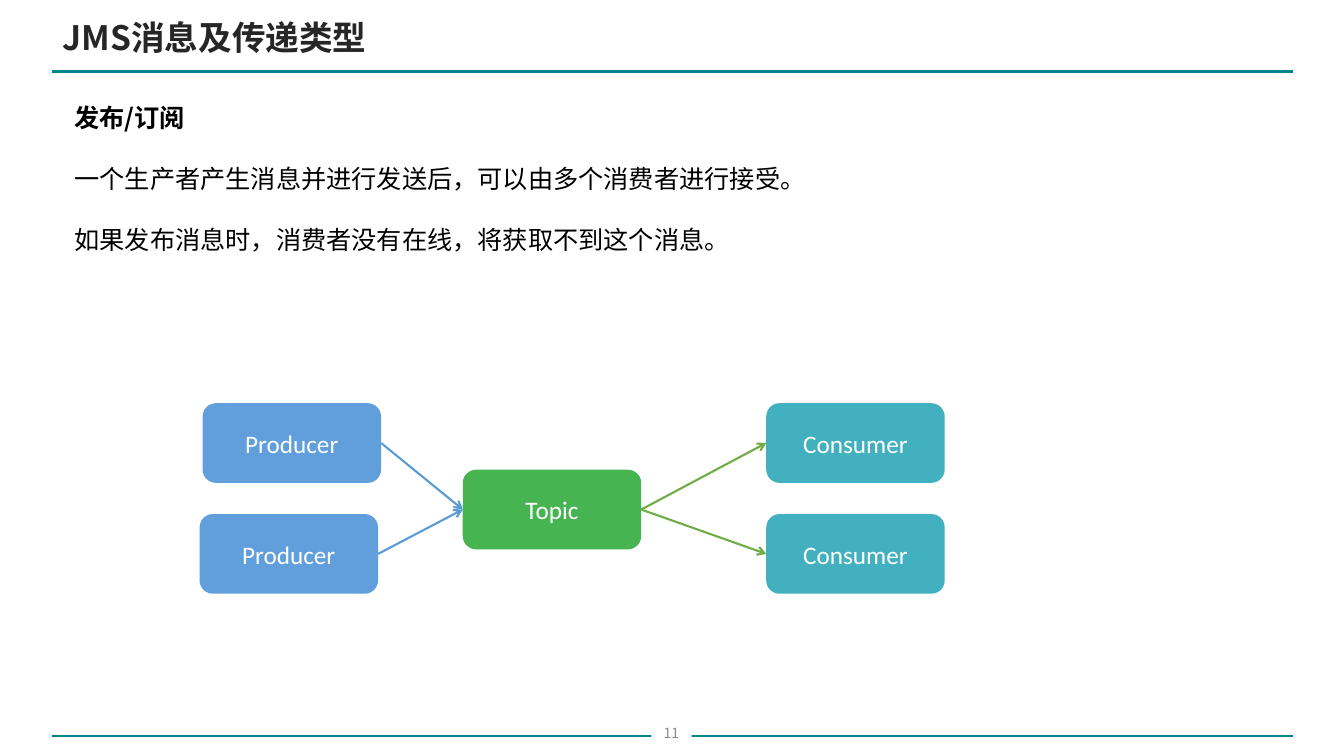
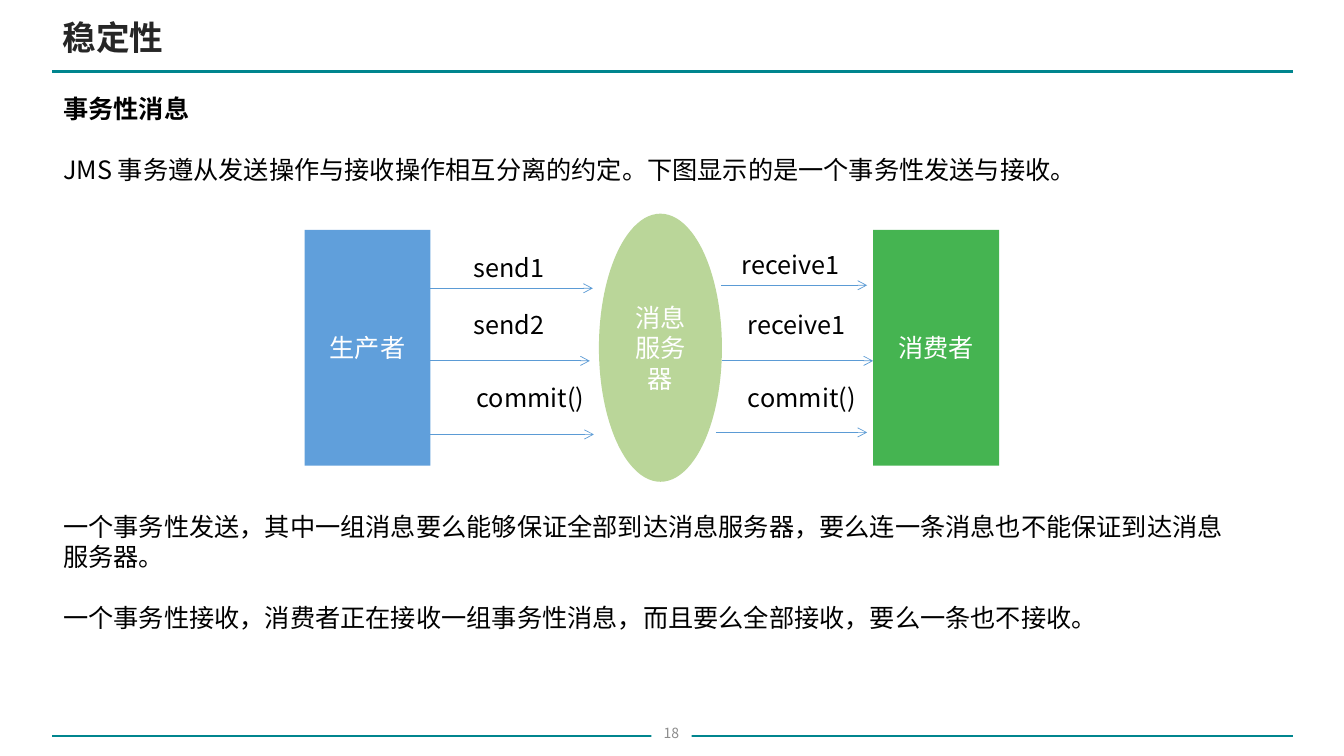
from dataclasses import dataclass

from lxml import etree
from pptx import Presentation
from pptx.dml.color import RGBColor
from pptx.enum.shapes import MSO_CONNECTOR, MSO_SHAPE, PP_PLACEHOLDER
from pptx.enum.text import MSO_ANCHOR, MSO_AUTO_SIZE, PP_ALIGN
from pptx.oxml.ns import qn
from pptx.util import Pt

EMU_PER_PX = 9144
TITLE_ONLY = 5
RECT, ROUNDED, OVAL = MSO_SHAPE.RECTANGLE, MSO_SHAPE.ROUNDED_RECTANGLE, MSO_SHAPE.OVAL
STRAIGHT = MSO_CONNECTOR.STRAIGHT
LEFT, CENTER = PP_ALIGN.LEFT, PP_ALIGN.CENTER
MIDDLE = MSO_ANCHOR.MIDDLE
SIDE_LEFT, SIDE_RIGHT = 1, 3


@dataclass(frozen=True)
class Theme:
    teal: str = "00858E"
    title: str = "262626"
    number: str = "8C8C8C"
    black: str = "000000"
    white: str = "FFFFFF"
    blue: str = "609FDB"
    green: str = "45B451"
    aqua: str = "43B0C0"
    pale_green: str = "BAD699"
    blue_line: str = "5B9BD5"
    green_line: str = "70AD47"
    text_font: str = "Noto Sans CJK SC"
    node_font: str = "Calibri"
    title_size: int = 24
    body_size: int = 18
    number_size: int = 10
    body_line: float = 21.8


THEME = Theme()


def px(*lengths):
    return [length * EMU_PER_PX for length in lengths]


def rgb(color):
    return RGBColor.from_string(color)


def style_paragraph(paragraph, size, color, font=THEME.text_font, bold=False, align=LEFT):
    paragraph.alignment = align
    if size == THEME.body_size:
        paragraph.line_spacing = Pt(THEME.body_line)
    for run in paragraph.runs:
        run.font.size = Pt(size)
        run.font.bold = bold
        run.font.name = font
        run.font.color.rgb = rgb(color)
        east_asian = etree.SubElement(run.font._element, qn("a:ea"))
        east_asian.set("typeface", THEME.text_font)


def add_node(slide, preset, box, text, fill, size=THEME.body_size,
             color=THEME.white, font=THEME.node_font):
    node = slide.shapes.add_shape(preset, *px(*box))
    node.shadow.inherit = False
    node.fill.solid()
    node.fill.fore_color.rgb = rgb(fill)
    node.line.fill.background()
    frame = node.text_frame
    frame.text = text
    frame.vertical_anchor = MIDDLE
    style_paragraph(frame.paragraphs[0], size, color, font, align=CENTER)
    return node


def add_text(slide, box, paragraphs, heading=False):
    """Add body paragraphs one blank line apart, the first bold if a heading."""
    frame = slide.shapes.add_textbox(*px(*box)).text_frame
    frame.word_wrap = True
    frame.text = "\n".join(paragraphs)
    for index, paragraph in enumerate(frame.paragraphs):
        style_paragraph(paragraph, THEME.body_size, THEME.black,
                        bold=heading and index == 0)
        if index < len(paragraphs) - 1:
            paragraph.space_after = Pt(THEME.body_line)


def add_line(slide, ends, color, width, arrow=False):
    line = slide.shapes.add_connector(STRAIGHT, *px(*ends))
    line.line.color.rgb = rgb(color)
    line.line.width = Pt(width)
    if arrow:
        outline = line.line._get_or_add_ln()
        etree.SubElement(outline, qn("a:tailEnd")).set("type", "arrow")
    etree.SubElement(line.element.spPr, qn("a:effectLst"))
    return line


def link(slide, source, target, color):
    """Join the right side of source to the left side of target."""
    arrow = add_line(slide, (0, 0, 0, 0), color, 1.5, arrow=True)
    arrow.begin_connect(source, SIDE_RIGHT)
    arrow.end_connect(target, SIDE_LEFT)


def add_slide(deck, title, number):
    slide = deck.slides.add_slide(deck.slide_layouts[TITLE_ONLY])
    heading = slide.shapes.title
    heading.left, heading.top, heading.width, heading.height = px(51, 11, 1077, 51)
    frame = heading.text_frame
    frame.text = title
    frame.auto_size = MSO_AUTO_SIZE.NONE
    frame.vertical_anchor = MIDDLE
    frame.margin_left, frame.margin_right = px(11, 11)
    style_paragraph(frame.paragraphs[0], THEME.title_size, THEME.title, bold=True)
    add_node(slide, RECT, (646, 705, 40, 45), number, THEME.white,
             THEME.number_size, THEME.number, THEME.text_font)
    return slide


def prepare_layout(deck):
    """Leave only the title on the layout and give it the two teal rules."""
    layout = deck.slide_layouts[TITLE_ONLY]
    for placeholder in list(layout.placeholders):
        if placeholder.placeholder_format.type != PP_PLACEHOLDER.TITLE:
            layout.shapes.element.remove(placeholder.element)
    for y, width in ((71, 2), (730, 1)):
        rule = add_line(deck.slides[0], (52, y, 1282, y), THEME.teal, width)
        layout.shapes.element.insert(2, rule.element)


def fill_publish_subscribe(slide):
    add_text(slide, (64, 96, 800, 192), [
        "发布/订阅",
        "一个生产者产生消息并进行发送后，可以由多个消费者进行接受。",
        "如果发布消息时，消费者没有在线，将获取不到这个消息。",
    ], heading=True)

    def add_role(x, y, text, fill):
        return add_node(slide, ROUNDED, (x, y, 177, 79), text, fill)

    topic = add_role(459, 466, "Topic", THEME.green)
    for producer_x, consumer_x, y in ((201, 760, 400), (198, 760, 510)):
        producer = add_role(producer_x, y, "Producer", THEME.blue)
        consumer = add_role(consumer_x, y, "Consumer", THEME.aqua)
        link(slide, producer, topic, THEME.blue_line)
        link(slide, topic, consumer, THEME.green_line)


def fill_transactions(slide):
    add_text(slide, (53, 87, 1100, 101), [
        "事务性消息",
        "JMS 事务遵从发送操作与接收操作相互分离的约定。下图显示的是一个事务性发送与接收。",
    ], heading=True)
    add_node(slide, RECT, (302, 228, 125, 234), "生产者", THEME.blue)
    add_node(slide, OVAL, (594, 212, 122, 266), "消息服务器", THEME.pale_green)
    add_node(slide, RECT, (866, 228, 125, 234), "消费者", THEME.green)

    # label, label left, label top, arrow start, arrow end, arrow y
    calls = (
        ("send1", 460, 245, 427, 588, 286),
        ("send2", 460, 302, 427, 585, 358),
        ("commit()", 463, 374, 427, 589, 431),
        ("receive1", 726, 242, 715, 860, 283),
        ("receive1", 732, 302, 716, 866, 358),
        ("commit()", 732, 374, 710, 860, 429),
    )
    for label, left, top, start, end, y in calls:
        add_line(slide, (start, y, end, y), THEME.blue_line, 0.5, arrow=True)
        add_text(slide, (left, top, 140, 40), [label])

    add_text(slide, (53, 502, 1180, 131), [
        "一个事务性发送，其中一组消息要么能够保证全部到达消息服务器，"
        "要么连一条消息也不能保证到达消息服务器。",
        "一个事务性接收，消费者正在接收一组事务性消息，而且要么全部接收，要么一条也不接收。",
    ])


def main():
    deck = Presentation()
    deck.slide_width, deck.slide_height = px(1333, 750)
    publish_subscribe = add_slide(deck, "JMS消息及传递类型", "11")
    transactions = add_slide(deck, "稳定性", "18")
    prepare_layout(deck)
    fill_publish_subscribe(publish_subscribe)
    fill_transactions(transactions)
    deck.save("out.pptx")


if __name__ == "__main__":
    main()
